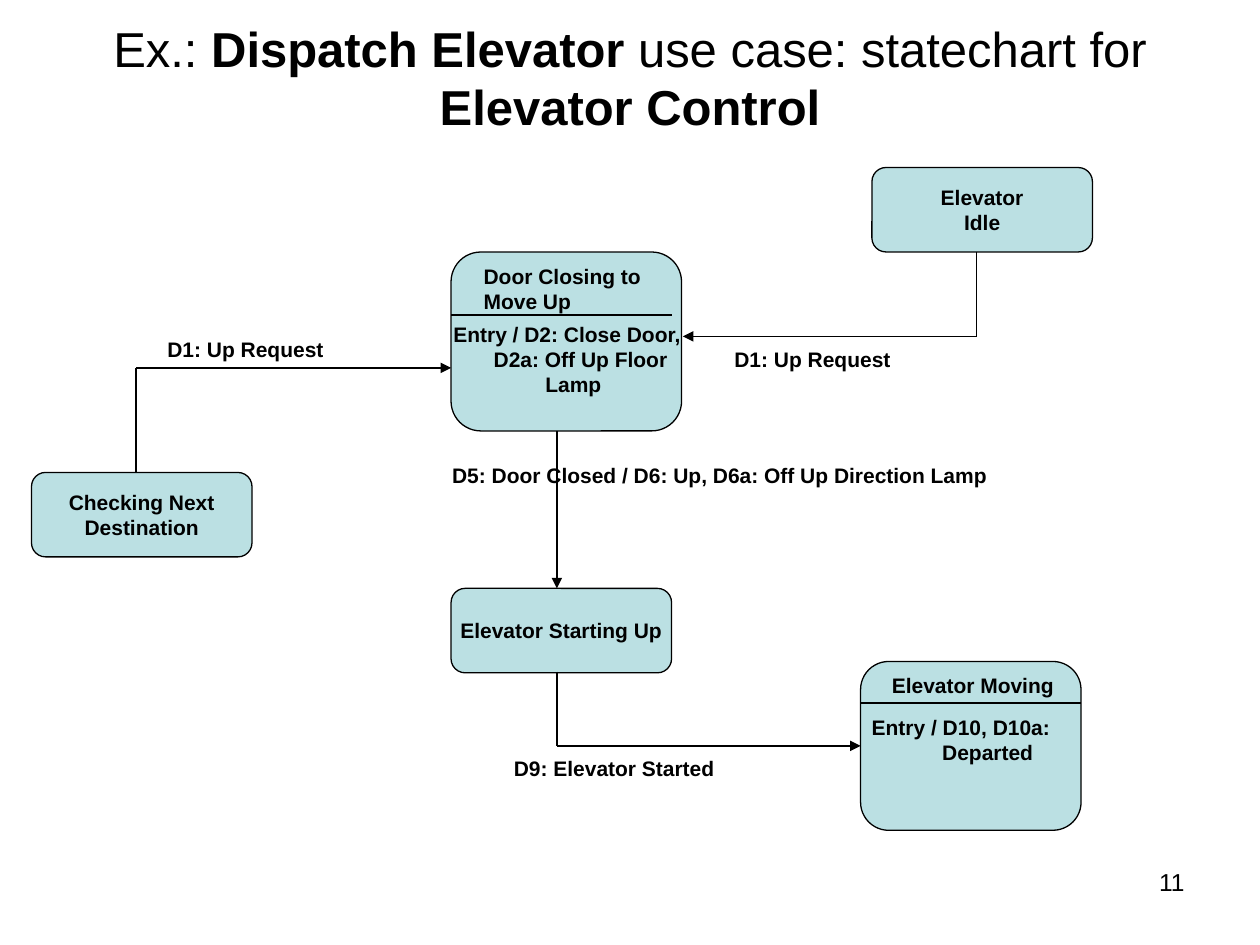
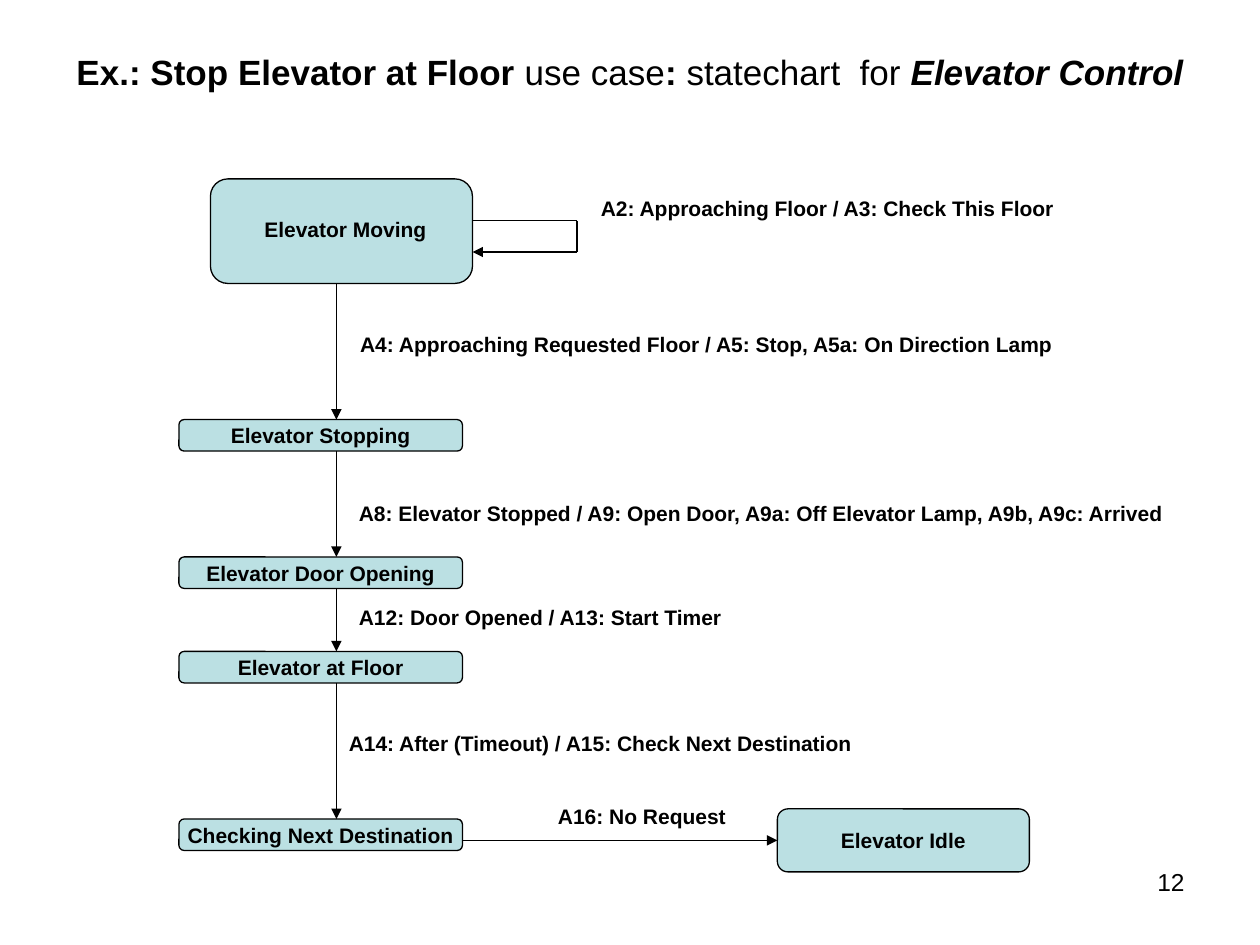
import itertools

import pptx
import pptx.dml.color
import pptx.enum.shapes
import pptx.enum.text
import pptx.oxml
import pptx.util
from pptx.util import Inches

BLACK = pptx.dml.color.RGBColor(0x00, 0x00, 0x00)
STATE_FILL = pptx.dml.color.RGBColor(0xBB, 0xE0, 0xE3)
FONT = "Arial"
TEXT_SIZE = 12
LABEL_SLACK = 0.05  # inches of spare width that keep a label's lines whole
LEFT_SIDE = 1
ALIGN = pptx.enum.text.PP_ALIGN
TITLE_ONLY = 5


def style(paragraph, size=TEXT_SIZE, bold=True, align=ALIGN.LEFT):
    paragraph.alignment = align
    paragraph.font.name = FONT
    paragraph.font.size = pptx.util.Pt(size)
    paragraph.font.bold = bold
    paragraph.font.color.rgb = BLACK


def add_page(deck, number, title_size, title_height, title_spans):
    """Add a slide with its number and a title of (text, bold, italic) spans."""
    page = deck.slides.add_slide(deck.slide_layouts[TITLE_ONLY])
    title = page.shapes.title
    title.left, title.top = Inches(0.5), Inches(0.3)
    title.width, title.height = Inches(9), Inches(title_height)
    frame = title.text_frame
    frame.auto_size = pptx.enum.text.MSO_AUTO_SIZE.NONE
    frame.vertical_anchor = pptx.enum.text.MSO_ANCHOR.MIDDLE
    para = frame.paragraphs[0]
    style(para, title_size, False, ALIGN.CENTER)
    for text, bold, italic in title_spans:
        span = para.add_run()
        span.text = text
        span.font.bold = bold
        span.font.italic = italic

    box = page.shapes.add_textbox(Inches(7.17), Inches(6.83), Inches(2.33), Inches(0.52))
    box.text_frame.word_wrap = True
    box.text_frame.text = str(number)
    style(box.text_frame.paragraphs[0], 14, False, ALIGN.RIGHT)
    return page


def add_state(page, left, top, width, height, name=""):
    state = page.shapes.add_shape(
        pptx.enum.shapes.MSO_SHAPE.ROUNDED_RECTANGLE,
        Inches(left), Inches(top), Inches(width), Inches(height))
    state.shadow.inherit = False
    state.fill.solid()
    state.fill.fore_color.rgb = STATE_FILL
    state.line.color.rgb = BLACK
    state.line.width = pptx.util.Pt(0.75)
    if name:
        frame = state.text_frame
        frame.word_wrap = False
        frame.vertical_anchor = pptx.enum.text.MSO_ANCHOR.MIDDLE
        frame.text = name
        for para in frame.paragraphs:
            style(para, align=ALIGN.CENTER)
    return state


def add_label(page, left, top, width, text, indents=()):
    """Add bold text; indents gives the left margin of each paragraph in inches."""
    lines = text.split("\n")
    box = page.shapes.add_textbox(
        Inches(left), Inches(top),
        Inches(width + LABEL_SLACK), Inches(0.1 + 0.2 * len(lines)))
    frame = box.text_frame
    frame.word_wrap = True
    frame.text = text
    for para, indent in itertools.zip_longest(frame.paragraphs, indents, fillvalue=0):
        style(para)
        if indent:
            para._p.get_or_add_pPr().set("marL", str(Inches(indent)))


def add_line(page, start, end):
    line = page.shapes.add_connector(
        pptx.enum.shapes.MSO_CONNECTOR.STRAIGHT,
        *(Inches(value) for value in (*start, *end)))
    line.line.color.rgb = BLACK
    line.line.width = pptx.util.Pt(0.75)
    properties = line._element.spPr
    properties.append(properties.makeelement(pptx.oxml.ns.qn("a:effectLst"), {}))
    return line


def add_transition(page, *points, target=None):
    """Draw straight legs through the points, with an arrowhead on the last."""
    for start, end in itertools.pairwise(points):
        leg = add_line(page, start, end)
    outline = leg.line._get_or_add_ln()
    outline.append(outline.makeelement(pptx.oxml.ns.qn("a:tailEnd"), {"type": "triangle"}))
    if target is not None:
        leg.end_connect(target, LEFT_SIDE)


def build_dispatch(deck):
    page = add_page(deck, 11, 28, 0.62, [
        ("Ex.: ", False, False), ("Dispatch Elevator ", True, False),
        ("use case: statechart for ", False, False), ("Elevator Control", True, False)])

    for left, top, name in [(6.92, 1.33, "Elevator\nIdle"),
                            (3.58, 4.67, "Elevator Starting Up"),
                            (0.25, 3.75, "Checking Next\nDestination")]:
        add_state(page, left, top, 1.75, 0.67, name)
    add_state(page, 3.58, 2, 1.83, 1.42)
    moving = add_state(page, 6.83, 5.25, 1.75, 1.34)

    for left, y in [(3.58, 2.5), (6.83, 5.58)]:
        add_line(page, (left, y), (left + 1.75, y))
    add_transition(page, (1.08, 3.75), (1.08, 2.92), (3.58, 2.92))
    add_transition(page, (7.75, 2), (7.75, 2.67), (5.42, 2.67))
    add_transition(page, (4.42, 3.42), (4.42, 4.67))
    add_transition(page, (4.42, 5.33), (4.42, 5.92), (6.83, 5.92), target=moving)

    add_label(page, 3.74, 2.04, 1.45, "Door Closing to\nMove Up")
    add_label(page, 3.5, 2.5, 2.01,
              "Entry / D2: Close Door,\nD2a: Off Up Floor\nLamp", (0, 0.32, 0.73))
    add_label(page, 6.98, 5.29, 1.49, "Elevator Moving")
    add_label(page, 6.82, 5.62, 1.61, "Entry / D10, D10a:\nDeparted", (0, 0.56))
    for left, top in [(5.73, 2.7), (1.23, 2.62)]:
        add_label(page, left, top, 1.44, "D1: Up Request")
    add_label(page, 3.49, 3.62, 4.45, "D5: Door Closed / D6: Up, D6a: Off Up Direction Lamp")
    add_label(page, 3.98, 5.95, 1.79, "D9: Elevator Started")


def build_stop(deck):
    page = add_page(deck, 12, 20, 0.53, [
        ("Ex.: Stop Elevator at Floor ", True, False), ("use case", False, False),
        (": ", True, False), ("statechart  for ", False, False),
        ("Elevator Control", True, True)])

    add_state(page, 1.67, 1.42, 2.08, 0.83)
    add_label(page, 2, 1.67, 1.49, "Elevator Moving")
    add_transition(page, (3.75, 1.75), (4.58, 1.75), (4.58, 2), (3.75, 2))

    above = 2.25
    for top, name in [(3.33, "Elevator Stopping"), (4.42, "Elevator Door Opening"),
                      (5.17, "Elevator at Floor"), (6.5, "Checking Next Destination")]:
        add_state(page, 1.42, top, 2.25, 0.25, name)
        add_transition(page, (2.67, above), (2.67, top))
        above = top + 0.25

    idle = add_state(page, 6.17, 6.42, 2, 0.5, "Elevator Idle")
    add_transition(page, (3.67, 6.67), (6.17, 6.67), target=idle)

    for left, top, width, text in [
            (4.67, 1.5, 3.81, "A2: Approaching Floor / A3: Check This Floor"),
            (2.76, 2.58, 5.72,
             "A4: Approaching Requested Floor / A5: Stop, A5a: On Direction Lamp"),
            (2.75, 3.92, 6.62, "A8: Elevator Stopped / A9: Open Door, "
                               "A9a: Off Elevator Lamp, A9b, A9c: Arrived"),
            (2.75, 4.75, 3.09, "A12: Door Opened / A13: Start Timer"),
            (2.67, 5.75, 4.21, "A14: After (Timeout) / A15: Check Next Destination"),
            (4.33, 6.33, 1.53, "A16: No Request")]:
        add_label(page, left, top, width, text)


def main():
    deck = pptx.Presentation()
    deck.slide_width, deck.slide_height = Inches(10), Inches(7.5)
    build_dispatch(deck)
    build_stop(deck)
    deck.save("out.pptx")


if __name__ == "__main__":
    main()
